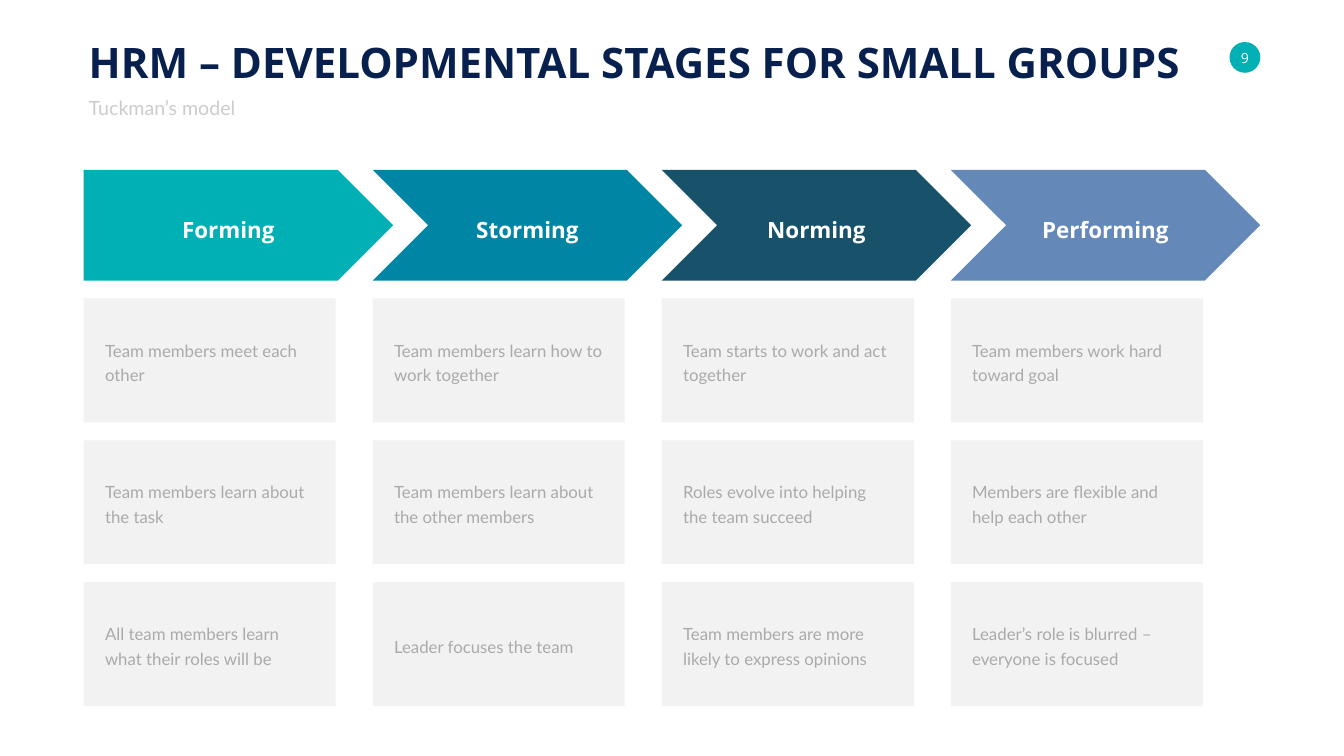
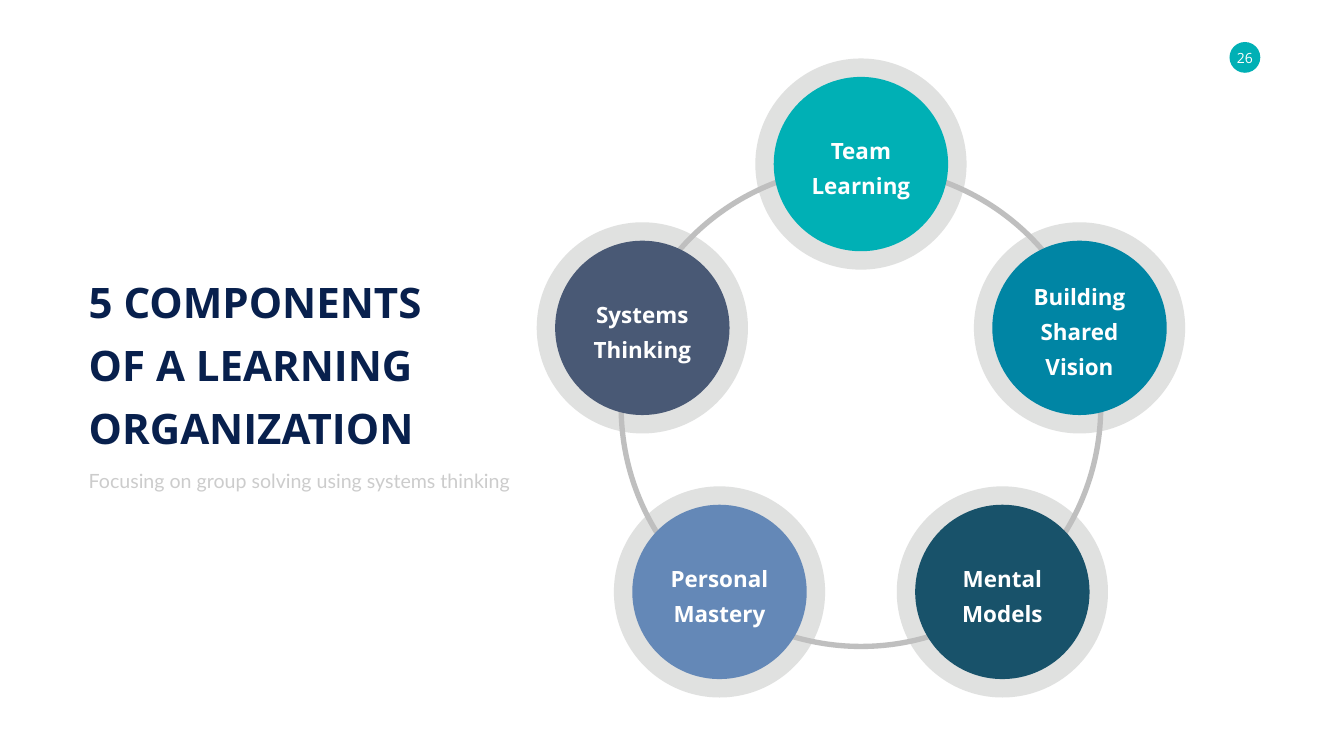
"""Build two slides: the stages of small groups and the learning organization."""
from dataclasses import dataclass

from lxml import etree
from pptx import Presentation
from pptx.dml.color import RGBColor
from pptx.enum import shapes, text
from pptx.oxml import ns
from pptx.util import Pt

Kind = shapes.MSO_SHAPE
Align = text.PP_ALIGN
Anchor = text.MSO_ANCHOR


@dataclass(frozen=True)
class Theme:
    """Colours, fonts and type sizes shared by the slides."""
    navy: str = "08204D"
    teal: str = "00B0B5"
    blue: str = "0085A4"
    petrol: str = "18526A"
    steel: str = "6488B7"
    slate: str = "495975"
    white: str = "FFFFFF"
    card: str = "F2F2F2"
    halo: str = "DDDEDD"
    ring: str = "BFBFBF"
    subtitle: str = "CCCCCC"
    body: str = "AAAAAA"
    heading_font: str = "Open Sans"
    body_font: str = "Lato"
    title_size: float = 60
    label_size: float = 32
    subtitle_size: float = 28
    body_size: float = 24
    page_size: float = 20
    title_line: float = 90
    label_line: float = 50
    body_line: float = 35


THEME = Theme()
LEFT = 119.5  # left margin of titles and columns


@dataclass(frozen=True)
class Box:
    """A rectangle in points."""
    left: float
    top: float
    width: float
    height: float

    @classmethod
    def around(cls, x: float, y: float, width: float, height: float) -> "Box":
        """Return the box of this size centred on a point."""
        return cls(x - width / 2, y - height / 2, width, height)

    def lengths(self) -> tuple:
        """Return left, top, width and height as lengths."""
        return Pt(self.left), Pt(self.top), Pt(self.width), Pt(self.height)


@dataclass(frozen=True)
class Stage:
    """One column: a coloured arrow and its cards."""
    name: str
    label_width: float
    color: str
    cards: tuple


@dataclass(frozen=True)
class Component:
    """One disc on the ring, placed relative to the ring centre."""
    words: str
    label_width: float
    color: str
    dx: float
    dy: float


STAGES = (
    Stage("Forming", 148, THEME.teal, (
        "Team members meet each other",
        "Team members learn about the task",
        "All team members learn what their roles will be")),
    Stage("Storming", 162, THEME.blue, (
        "Team members learn how to work together",
        "Team members learn about the other members",
        "Leader focuses the team")),
    Stage("Norming", 156, THEME.petrol, (
        "Team starts to work and act together",
        "Roles evolve into helping the team succeed",
        "Team members are more likely to express opinions")),
    Stage("Performing", 197, THEME.steel, (
        "Team members work hard toward goal",
        "Members are flexible and help each other",
        "Leader’s role is blurred – everyone is focused")),
)

COMPONENTS = (
    Component("Team\nLearning", 157, THEME.teal, 0, -346.6),
    Component("Mental\nModels", 130, THEME.petrol, 202, 264.6),
    Component("Personal\nMastery", 155, THEME.steel, -202, 264.6),
    Component("Building\nShared\nVision", 147, THEME.blue, 312.2, -112.6),
    Component("Systems\nThinking", 155, THEME.slate, -312.2, -112.6),
)


def write(shape, words: str, *, size: float, color: str, font: str,
          bold: bool = False, align=Align.LEFT, anchor=Anchor.TOP,
          line: float = 0, before: float = 0, wrap: bool = False,
          inset: bool = True) -> None:
    """Fill a shape with formatted text, one paragraph per line of words."""
    frame = shape.text_frame
    frame.text = words
    frame.word_wrap = wrap
    frame.auto_size = text.MSO_AUTO_SIZE.SHAPE_TO_FIT_TEXT
    frame.vertical_anchor = anchor
    frame.margin_left = frame.margin_right = Pt(7.2 if inset else 0)
    frame.margin_top = frame.margin_bottom = Pt(3.6 if inset else 0)
    for paragraph in frame.paragraphs:
        paragraph.alignment = align
        paragraph.space_before = Pt(before)
        paragraph.line_spacing = Pt(line) if line else 1.0
        for run in paragraph.runs:
            run.font.size = Pt(size)
            run.font.name = font
            run.font.bold = bold
            run.font.color.rgb = RGBColor.from_string(color)


def add_text(slide, box: Box, words: str, **style) -> None:
    """Add a text box."""
    write(slide.shapes.add_textbox(*box.lengths()), words, **style)


def add_figure(slide, kind, box: Box, color: str, opacity: int = 100):
    """Add a flat preset shape without a line, optionally translucent."""
    shape = slide.shapes.add_shape(kind, *box.lengths())
    shape.shadow.inherit = False
    shape.line.fill.background()
    shape.fill.solid()
    shape.fill.fore_color.rgb = RGBColor.from_string(color)
    if opacity < 100:
        fill = shape._element.spPr.find(ns.qn("a:solidFill"))
        etree.SubElement(fill[0], ns.qn("a:alpha"), val=str(opacity * 1000))
    return shape


def add_label(slide, x: float, y: float, width: float, words: str) -> None:
    """Add a bold white label centred on a point."""
    height = THEME.label_line * (words.count("\n") + 1) + 4
    add_text(slide, Box.around(x, y, width, height), words,
             size=THEME.label_size, color=THEME.white, font=THEME.heading_font,
             bold=True, align=Align.CENTER, anchor=Anchor.MIDDLE,
             line=THEME.label_line)


def place(shape, box: Box) -> None:
    """Move a placeholder to a box."""
    shape.left, shape.top, shape.width, shape.height = box.lengths()


def add_page(presentation, page: int, title: str, title_box: Box,
             subtitle: str, subtitle_box: Box, **title_style):
    """Add a slide with its title, subtitle and page badge."""
    slide = presentation.slides.add_slide(presentation.slide_layouts[0])
    heading, tagline = slide.shapes.title, slide.placeholders[1]
    place(heading, title_box)
    write(heading, title, size=THEME.title_size, color=THEME.navy,
          font=THEME.heading_font, bold=True, **title_style)
    place(tagline, subtitle_box)
    write(tagline, subtitle, size=THEME.subtitle_size, color=THEME.subtitle,
          font=THEME.body_font, line=THEME.body_line)
    add_figure(slide, Kind.OVAL, Box.around(1778, 82, 44, 44), THEME.teal)
    add_text(slide, Box.around(1778, 82, 25, 24.5), str(page),
             size=THEME.page_size, color=THEME.white, font=THEME.heading_font,
             align=Align.CENTER, anchor=Anchor.MIDDLE, inset=False)
    return slide


def add_card(slide, box: Box, words: str) -> None:
    """Add a grey card with its text centred vertically."""
    add_figure(slide, Kind.RECTANGLE, box, THEME.card)
    height = 39 if len(words) <= 25 else 74  # one line or two
    add_text(slide, Box.around(box.left + box.width / 2,
                               box.top + box.height / 2, 313.2, height),
             words, size=THEME.body_size, color=THEME.body,
             font=THEME.body_font, anchor=Anchor.MIDDLE,
             line=THEME.body_line, before=6, wrap=True)


def build_stages(presentation) -> None:
    """Draw the four stages as arrows above columns of cards."""
    slide = add_page(
        presentation, 9, "HRM – DEVELOPMENTAL STAGES FOR SMALL GROUPS",
        Box(LEFT, 48.2, 1589, 80), "Tuckman’s model",
        Box(LEFT, 132.5, 229.7, 39.6))
    column_step, row_step = 412.8, 202.7
    for column, stage in enumerate(STAGES):
        left = LEFT + column * column_step
        arrow = Box(left, 242.6, 442, 158.4)
        kind = Kind.CHEVRON if column else Kind.PENTAGON
        add_figure(slide, kind, arrow, stage.color)
        add_label(slide, left + (221 if column else 206.6),
                  arrow.top + arrow.height / 2, stage.label_width, stage.name)
        for row, words in enumerate(stage.cards):
            add_card(slide, Box(left, 426.4 + row * row_step, 360, 177), words)


def build_components(presentation) -> None:
    """Draw the five components as discs on a ring."""
    slide = add_page(
        presentation, 26, "5 COMPONENTS\nOF A LEARNING\nORGANIZATION",
        Box(LEFT, 375.1, 493.2, 272.9),
        "Focusing on group solving using systems thinking",
        Box(LEFT, 665.3, 625, 39.6),
        anchor=Anchor.MIDDLE, line=THEME.title_line)
    x, y = 1229.6, 581
    for item in COMPONENTS:
        add_figure(slide, Kind.OVAL,
                   Box.around(x + item.dx, y + item.dy, 301.7, 301.7),
                   THEME.halo, opacity=90)
    ring = add_figure(slide, Kind.DONUT, Box.around(x, y, 692.6, 692.6),
                      THEME.ring)
    ring.adjustments[0] = 0.011
    for item in COMPONENTS:
        center = x + item.dx, y + item.dy
        add_figure(slide, Kind.OVAL, Box.around(*center, 249.1, 249.1),
                   item.color)
        add_label(slide, *center, item.label_width, item.words)


def main() -> None:
    """Build and save the presentation."""
    presentation = Presentation()
    presentation.slide_width = Pt(1919.5)
    presentation.slide_height = Pt(1080)
    build_stages(presentation)
    build_components(presentation)
    presentation.save("out.pptx")


main()
